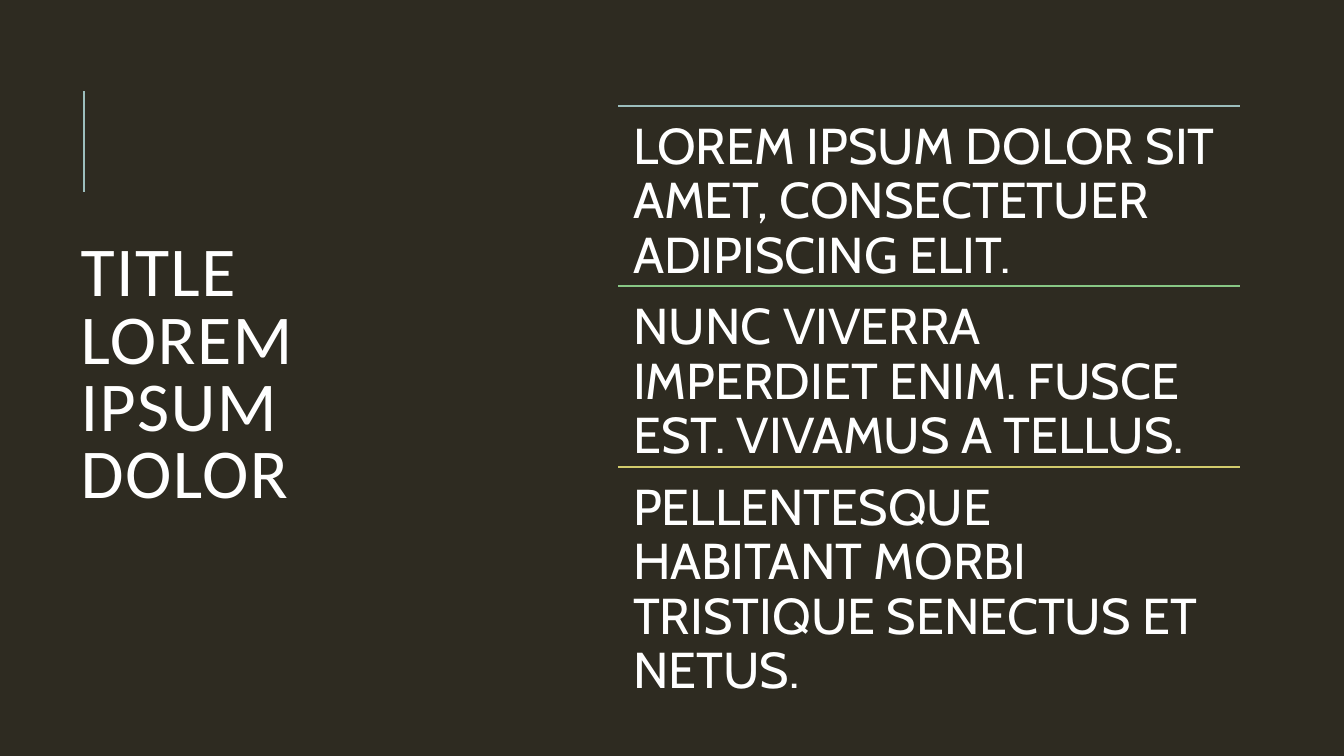
import pptx
import pptx.dml.color
import pptx.enum.shapes
import pptx.enum.text
import pptx.oxml.ns
import pptx.util
from dataclasses import dataclass
from lxml import etree

Inches = pptx.util.Inches

# Content
TITLE = "TITLE LOREM IPSUM DOLOR"
STATEMENTS = [
    ("LOREM IPSUM DOLOR SIT AMET, CONSECTETUER ADIPISCING ELIT.", "9CBEBD"),
    ("NUNC VIVERRA IMPERDIET ENIM. FUSCE EST. VIVAMUS A TELLUS.", "88C785"),
    ("PELLENTESQUE HABITANT MORBI TRISTIQUE SENECTUS ET NETUS.", "D2CB6C"),
]


@dataclass(frozen=True)
class Theme:
    background: str = "2E2B21"
    text: str = "FFFFFF"
    accent: str = "9CBEBD"
    title_font: str = "Calibri"
    body_font: str = "Cabin"
    title_size: float = 50
    body_size: float = 36
    accent_width: float = 1.5
    rule_width: float = 1.25


THEME = Theme()

# Layout, in inches
LIST_LEFT, LIST_TOP, LIST_WIDTH, ROW_HEIGHT = 6.13, 1.05, 6.17, 1.79
ROW_INSET = 0.15


def color(value):
    return pptx.dml.color.RGBColor.from_string(value)


def add_line(page, start, end, line_color, width):
    line = page.shapes.add_connector(
        pptx.enum.shapes.MSO_CONNECTOR.STRAIGHT,
        *(Inches(value) for value in (*start, *end)))
    line.line.color.rgb = color(line_color)
    line.line.width = pptx.util.Pt(width)
    etree.SubElement(line._element.spPr, pptx.oxml.ns.qn("a:effectLst"))


def write(frame, text, font, size, spacing):
    frame.word_wrap = True
    frame.auto_size = pptx.enum.text.MSO_AUTO_SIZE.NONE
    para = frame.paragraphs[0]
    para.text = text
    para.alignment = pptx.enum.text.PP_ALIGN.LEFT
    para.line_spacing = spacing
    para.font.name = font
    para.font.size = pptx.util.Pt(size)
    para.font.color.rgb = color(THEME.text)
    return para


def add_title(page):
    title = page.shapes.title
    title.left, title.top = Inches(0.7), Inches(0.7)
    title.width, title.height = Inches(3.74), Inches(6.09)
    title.text_frame.vertical_anchor = pptx.enum.text.MSO_ANCHOR.MIDDLE
    para = write(title.text_frame, TITLE, THEME.title_font, THEME.title_size, 0.8)
    # Letter spacing of one point
    para._p.get_or_add_pPr().get_or_add_defRPr().set("spc", "100")


def add_statement(page, index, text, rule_color):
    top = LIST_TOP + index * ROW_HEIGHT
    add_line(page, (LIST_LEFT, top), (LIST_LEFT + LIST_WIDTH, top),
             rule_color, THEME.rule_width)
    box = page.shapes.add_textbox(Inches(LIST_LEFT), Inches(top),
                                  Inches(LIST_WIDTH), Inches(ROW_HEIGHT))
    frame = box.text_frame
    frame.margin_left = frame.margin_right = Inches(ROW_INSET)
    frame.margin_top = frame.margin_bottom = Inches(ROW_INSET)
    write(frame, text, THEME.body_font, THEME.body_size, 0.9)


def main():
    deck = pptx.Presentation()
    deck.slide_width, deck.slide_height = Inches(13.33), Inches(7.5)
    page = deck.slides.add_slide(deck.slide_layouts.get_by_name("Title Only"))
    page.background.fill.solid()
    page.background.fill.fore_color.rgb = color(THEME.background)

    # Title with its accent line
    add_line(page, (0.83, 1.9), (0.83, 0.9), THEME.accent, THEME.accent_width)
    add_title(page)

    # Ruled statements
    for index, (text, rule_color) in enumerate(STATEMENTS):
        add_statement(page, index, text, rule_color)

    deck.save("out.pptx")


if __name__ == "__main__":
    main()
